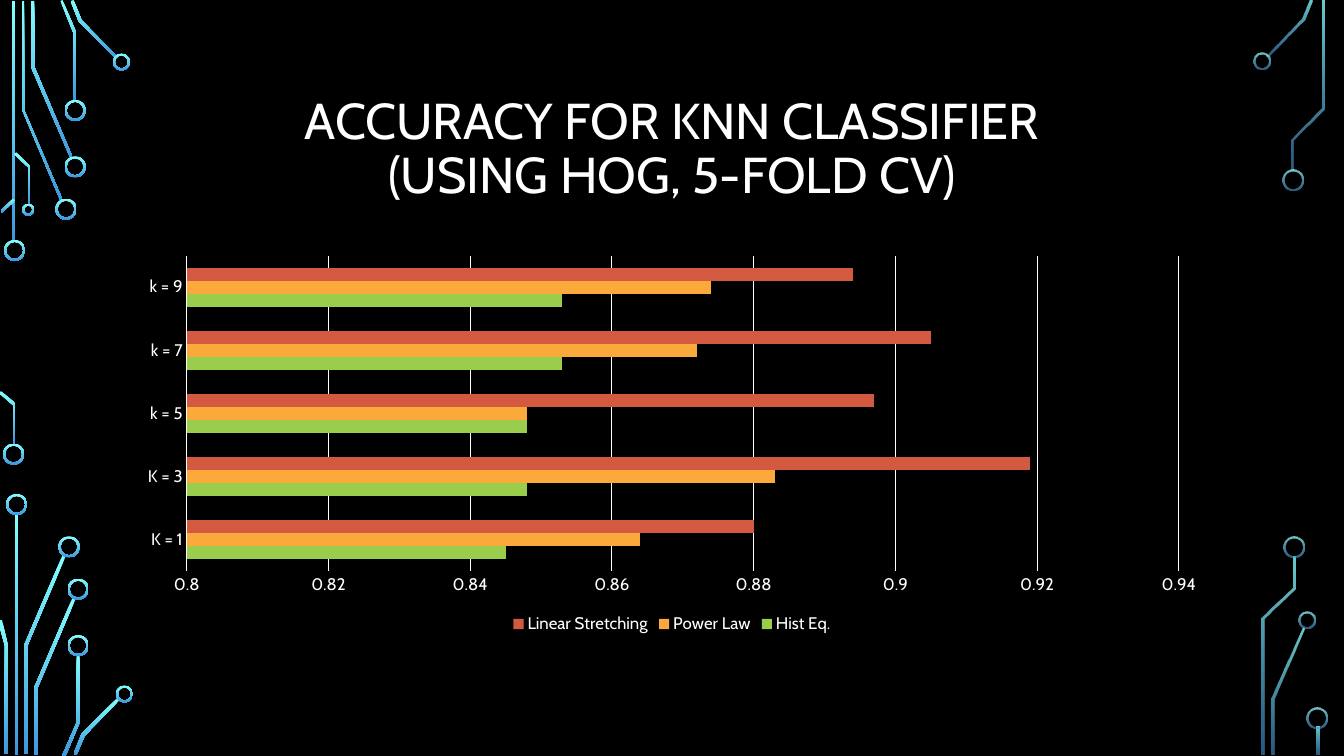
from lxml import etree
from pptx import Presentation
from pptx.chart.data import CategoryChartData
from pptx.dml.color import RGBColor
from pptx.enum.chart import XL_CHART_TYPE, XL_LEGEND_POSITION, XL_TICK_MARK
from pptx.enum.shapes import MSO_SHAPE
from pptx.enum.text import MSO_ANCHOR, PP_ALIGN
from pptx.oxml.ns import qn
from pptx.util import Pt

PX = 9144  # EMU per px, 100 px to the inch
FONT = "Cabin"
BLACK = RGBColor(0x00, 0x00, 0x00)
WHITE = RGBColor(0xFF, 0xFF, 0xFF)
CYAN = RGBColor(0x82, 0xFF, 0xFF)
BLUE = RGBColor(0x3D, 0x97, 0xDE)
GREEN = RGBColor(0x9A, 0xCD, 0x4C)
ORANGE = RGBColor(0xFA, 0xA9, 0x3A)
RED = RGBColor(0xD3, 0x59, 0x40)

BAR_CLUSTERED = XL_CHART_TYPE.BAR_CLUSTERED
LEGEND_BOTTOM = XL_LEGEND_POSITION.BOTTOM
NO_TICKS = XL_TICK_MARK.NONE
RECTANGLE, DONUT = MSO_SHAPE.RECTANGLE, MSO_SHAPE.DONUT
MIDDLE, CENTER = MSO_ANCHOR.MIDDLE, PP_ALIGN.CENTER

SOLID = (100, 100)  # opacity in percent at the top and bottom of a part
FADED = (80, 60)
RING_WIDTH = 2

# Circuit on the left: bars (left, top, width, height), rings (left, top, size), traces (outline)
LEFT_BARS = [(12, 1, 3, 239), (15, 510, 3, 239)]
LEFT_RINGS = [
    (4, 238, 21), (3, 440, 21), (55, 197, 21), (64, 155, 21), (64, 99, 21),
    (112, 53, 17), (22, 202, 12), (6, 490, 21), (58, 532, 21), (67, 574, 21),
    (67, 630, 21), (115, 680, 17),
]
LEFT_TRACES = [
    [(60, 199), (22, 109), (22, 1), (24, 1), (24, 109), (62, 198)],
    [(70, 157), (31, 67), (31, 1), (34, 1), (34, 66), (72, 156)],
    [(76, 100), (73, 100), (73, 33), (60, 1), (62, 0), (76, 33)],
    [(115, 58), (78, 21), (70, 1), (73, 0), (81, 20), (116, 56)],
    [(2, 211), (1, 209), (13, 197), (15, 199)],
    [(15, 441), (13, 441), (13, 402), (-1, 390), (1, 388), (15, 400)],
    [(30, 203), (28, 203), (28, 166), (14, 153), (16, 151), (30, 165)],
    [(27, 748), (24, 748), (24, 640), (62, 551), (65, 552), (27, 641)],
    [(8, 748), (5, 748), (5, 641), (-2, 616), (2, 615), (8, 641)],
    [(37, 749), (34, 749), (34, 682), (72, 593), (75, 594), (37, 683)],
    [(65, 750), (62, 749), (76, 717), (76, 650), (79, 650), (79, 717)],
    [(76, 749), (73, 748), (81, 728), (117, 692), (119, 694), (84, 730)],
]

# Circuit on the right
RIGHT_BARS = [(1306, 721, 3, 28)]
RIGHT_RINGS = [(1243, 52, 17), (1272, 168, 21), (1288, 607, 17),
               (1273, 532, 21), (1296, 702, 21)]
RIGHT_TRACES = [
    [(1258, 56), (1256, 55), (1291, 19), (1299, 0), (1302, 1), (1294, 20)],
    [(1264, 749), (1261, 749), (1261, 693), (1292, 623), (1294, 624), (1264, 694)],
    [(1283, 169), (1281, 169), (1281, 138), (1311, 107), (1311, 1),
     (1314, 1), (1314, 108), (1283, 139)],
    [(1254, 749), (1251, 749), (1251, 613), (1282, 583), (1282, 552),
     (1285, 552), (1285, 584), (1254, 614)],
]

CATEGORIES = ["K = 1", "K = 3", "k = 5", "k = 7", "k = 9"]
SERIES = [
    ("Hist Eq.", (0.845, 0.848, 0.848, 0.853, 0.853), GREEN),
    ("Power Law", (0.864, 0.883, 0.848, 0.872, 0.874), ORANGE),
    ("Linear Stretching", (0.88, 0.919, 0.897, 0.905, 0.894), RED),
]


def px(*lengths):
    return [length * PX for length in lengths]


def style_font(font, size):
    font.name = FONT
    font.size = Pt(size)
    font.color.rgb = WHITE


def style_circuit_part(shape, opacities):
    shape.shadow.inherit = False
    shape.line.fill.background()
    shape.fill.gradient()
    shape.fill.gradient_angle = 270
    stops = shape.fill.gradient_stops
    for stop, position, color in zip(stops, (0, 1), (CYAN, BLUE)):
        stop.position = position
        stop.color.rgb = color
    for color, opacity in zip(shape._element.spPr.iter(qn("a:srgbClr")), opacities):
        if opacity < 100:
            etree.SubElement(color, qn("a:alpha"), val=str(opacity * 1000))


def add_circuit(slide, bars, rings, traces, opacities):
    shapes = slide.shapes
    parts = [shapes.add_shape(RECTANGLE, *px(*bar)) for bar in bars]
    for outline in traces:
        builder = shapes.build_freeform(*outline[0], scale=PX)
        builder.add_line_segments(outline[1:], close=True)
        parts.append(builder.convert_to_shape())
    for left, top, size in rings:
        ring = shapes.add_shape(DONUT, *px(left, top, size, size))
        ring.adjustments[0] = RING_WIDTH / size
        parts.append(ring)
    for part in parts:
        style_circuit_part(part, opacities)


def add_title(slide, text):
    text_frame = slide.shapes.add_textbox(*px(125, 68, 1083, 162)).text_frame
    text_frame.word_wrap = True
    text_frame.vertical_anchor = MIDDLE
    text_frame.text = text
    paragraph = text_frame.paragraphs[0]
    paragraph.alignment = CENTER
    paragraph.line_spacing = 0.9
    for run in paragraph.runs:
        style_font(run.font, 36)


def style_line(line):
    line.color.rgb = WHITE
    line.width = Pt(0.75)


def add_accuracy_chart(slide):
    data = CategoryChartData()
    data.categories = CATEGORIES
    for name, values, _ in SERIES:
        data.add_series(name, values)
    chart = slide.shapes.add_chart(BAR_CLUSTERED, *px(125, 246, 1083, 387), data).chart
    style_font(chart.font, 10)
    chart.has_title = False

    # Bars
    plot = chart.plots[0]
    plot.vary_by_categories = False
    plot.gap_width = 182
    plot.overlap = 0
    for series, (_, _, color) in zip(plot.series, SERIES):
        series.format.fill.solid()
        series.format.fill.fore_color.rgb = color

    # Axes
    category_axis, value_axis = chart.category_axis, chart.value_axis
    for axis in (category_axis, value_axis):
        axis.major_tick_mark = axis.minor_tick_mark = NO_TICKS
        style_font(axis.tick_labels.font, 12)
    style_line(category_axis.format.line)
    value_axis.format.line.fill.background()
    value_axis.minimum_scale = 0.8
    value_axis.maximum_scale = 0.94
    value_axis.major_unit = 0.02
    value_axis.has_major_gridlines = True
    style_line(value_axis.major_gridlines.format.line)

    # Legend
    chart.has_legend = True
    chart.legend.position = LEGEND_BOTTOM
    chart.legend.include_in_layout = False
    style_font(chart.legend.font, 12)


def main():
    presentation = Presentation()
    presentation.slide_width, presentation.slide_height = px(1333, 750)
    slide = presentation.slides.add_slide(presentation.slide_layouts[6])
    slide.background.fill.solid()
    slide.background.fill.fore_color.rgb = BLACK

    add_circuit(slide, LEFT_BARS, LEFT_RINGS, LEFT_TRACES, SOLID)
    add_circuit(slide, RIGHT_BARS, RIGHT_RINGS, RIGHT_TRACES, FADED)
    add_title(slide, "ACCURACY FOR KNN CLASSIFIER\v(USING HOG, 5-FOLD CV)")
    add_accuracy_chart(slide)
    presentation.save("out.pptx")


if __name__ == "__main__":
    main()
